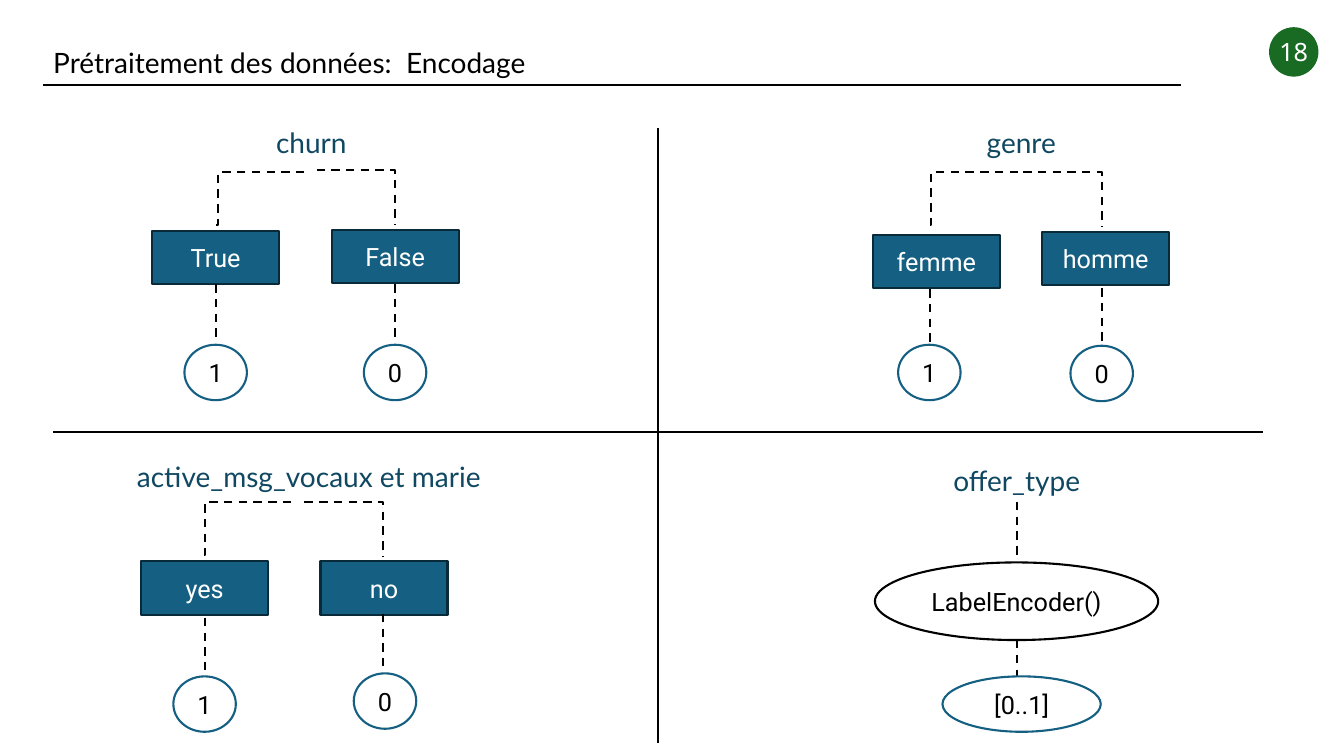
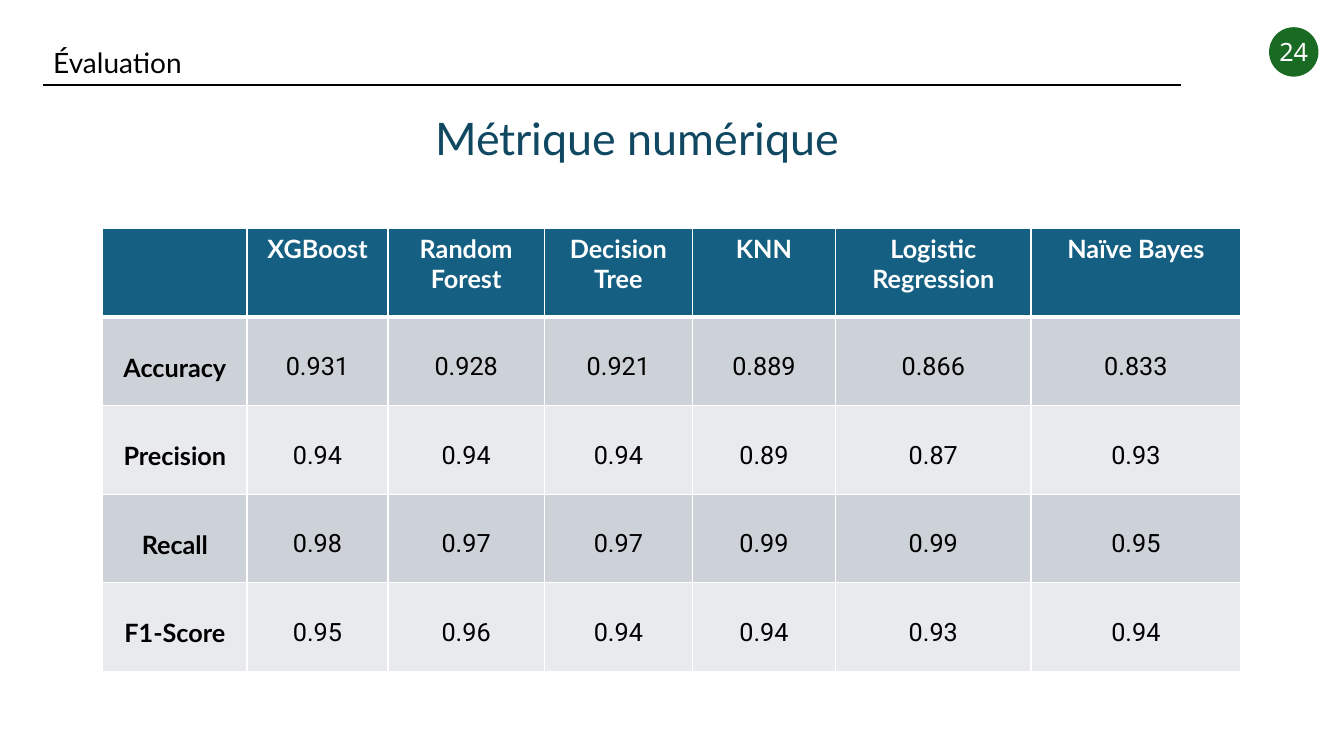
from dataclasses import dataclass
from typing import Optional

from lxml.etree import SubElement
from pptx import Presentation
from pptx.dml.color import RGBColor
from pptx.enum.dml import MSO_LINE_DASH_STYLE as Dash
from pptx.enum.shapes import MSO_CONNECTOR as Link, MSO_SHAPE as Preset
from pptx.enum.text import MSO_ANCHOR as Anchor, MSO_AUTO_SIZE as AutoSize, PP_ALIGN as Align
from pptx.oxml.ns import qn
from pptx.util import Emu, Inches, Pt

COLORS = {
    "ink": "000000",
    "paper": "FFFFFF",
    "badge": "196B24",
    "heading": "104862",
    "box": "156082",
    "box_edge": "092A39",
    "band_dark": "CCD2D8",
    "band_light": "E8EAED",
}
SLIDE_WIDTH, SLIDE_HEIGHT = Inches(13.33), Inches(7.5)
COLUMNS, ROWS = 160, 90
LINE_WIDTH = 1.5
BOX_WIDTH, BOX_HEIGHT = 15.12, 6.36
RING_WIDTH, RING_HEIGHT = 7.44, 6.6
HEADING_HEIGHT = 5.28
BEND_LEFT, BEND_RIGHT = 0.97, 1.0


@dataclass(frozen=True)
class Area:
    """A rectangle in grid columns and rows."""
    left: float
    top: float
    width: float
    height: float


@dataclass(frozen=True)
class Style:
    """The look of one run of text."""
    font: str
    size: int
    color: str
    bold: bool = False


@dataclass(frozen=True)
class Heading:
    """The name of an encoded variable."""
    text: str
    left: float
    top: float
    width: float


@dataclass(frozen=True)
class Branch:
    """One category, its code, and the lines that lead to them."""
    category: str
    code: str
    elbow_start: tuple[float, float]
    elbow_end: tuple[float, float]
    box_center: float
    box_top: float
    stem_x: float
    stem_top: float
    stem_bottom: float
    ring_center: float
    ring_top: float


TITLE = Style("Lato", 20, "ink")
NUMBER = Style("Noto Sans", 18, "paper")
VARIABLE = Style("Lato", 20, "heading")
SUBTITLE = Style("Lato", 32, "heading")
CATEGORY = Style("Roboto", 18, "paper")
CODE = Style("Roboto", 18, "ink")
COLUMN_HEAD = Style("Lato", 18, "paper", True)
ROW_HEAD = Style("Lato", 18, "ink", True)

HEADINGS = [
    Heading("churn", 31.68, 14.4, 12.12),
    Heading("active_msg_vocaux et marie", 15.12, 54.12, 45.24),
    Heading("genre", 116.28, 14.4, 12.12),
    Heading("offer_type", 112.32, 54.6, 17.76),
]
BRANCHES = [
    Branch("True", "1", (36.24, 20.52), (25.68, 26.76), 25.68, 27.48, 25.68, 33.84, 40.44, 25.68, 41.04),
    Branch("False", "0", (37.68, 20.28), (47.04, 26.76), 47.04, 27.36, 47.04, 33.84, 40.44, 47.04, 41.04),
    Branch("yes", "1", (34.68, 59.76), (24.12, 66.12), 24.36, 66.84, 24.36, 73.56, 80.16, 24.36, 80.52),
    Branch("no", "0", (36.24, 59.76), (45.6, 66.36), 45.72, 66.84, 45.6, 73.08, 79.8, 45.84, 80.16),
    Branch("femme", "1", (121.2, 20.52), (110.52, 26.76), 111.48, 27.96, 110.76, 34.44, 41.16, 110.64, 41.04),
    Branch("homme", "0", (121.8, 20.52), (131.16, 27), 131.64, 27.6, 131.16, 34.32, 41.04, 131.16, 41.16),
]
METRIC_WIDTHS = [17.16, 16.8, 18.6, 17.64, 17.04, 23.28, 24.96]
METRIC_ROW_HEIGHT = 10.54
METRICS = [
    ["", "XGBoost", "Random Forest", "Decision Tree", "KNN", "Logistic Regression", "Naïve Bayes"],
    ["Accuracy", "0.931", "0.928", "0.921", "0.889", "0.866", "0.833"],
    ["Precision", "0.94", "0.94", "0.94", "0.89", "0.87", "0.93"],
    ["Recall", "0.98", "0.97", "0.97", "0.99", "0.99", "0.95"],
    ["F1-Score", "0.95", "0.96", "0.94", "0.94", "0.93", "0.94"],
]


def across(columns: float) -> Emu:
    """Convert grid columns to a length."""
    return Emu(round(SLIDE_WIDTH * columns / COLUMNS))


def down(rows: float) -> Emu:
    """Convert grid rows to a length."""
    return Emu(round(SLIDE_HEIGHT * rows / ROWS))


def frame(area: Area) -> tuple[Emu, Emu, Emu, Emu]:
    """Convert a grid area to slide lengths."""
    return across(area.left), down(area.top), across(area.width), down(area.height)


def color(name: str) -> RGBColor:
    """Look up a named colour."""
    return RGBColor.from_string(COLORS[name])


def write(text_frame, text: str, style: Style, align: Optional[Align] = None) -> None:
    """Write one styled run in the first paragraph."""
    para = text_frame.paragraphs[0]
    para.alignment = align
    span = para.add_run()
    span.text = text
    span.font.name, span.font.size = style.font, Pt(style.size)
    span.font.bold = style.bold
    span.font.color.rgb = color(style.color)


def add_text(page, area: Area, text: str, style: Style, align: Optional[Align] = None) -> None:
    """Add a wrapping text box."""
    box = page.shapes.add_textbox(*frame(area))
    box.text_frame.word_wrap = True
    box.text_frame.auto_size = AutoSize.SHAPE_TO_FIT_TEXT
    write(box.text_frame, text, style, align)


def add_node(page, preset: Preset, area: Area, text: str, style: Style,
             fill: str, edge: Optional[str] = None, wrap: bool = True) -> None:
    """Add a filled shape with centred text."""
    node = page.shapes.add_shape(preset, *frame(area))
    node.shadow.inherit = False
    node.fill.solid()
    node.fill.fore_color.rgb = color(fill)
    if edge:
        node.line.color.rgb = color(edge)
        node.line.width = Pt(LINE_WIDTH)
    else:
        node.line.fill.background()
    node.text_frame.word_wrap = wrap
    node.text_frame.vertical_anchor = Anchor.MIDDLE
    write(node.text_frame, text, style, Align.CENTER)


def add_line(page, start: tuple[float, float], end: tuple[float, float],
             dashed: bool = False, bend: Optional[float] = None) -> None:
    """Add a straight line, or an elbow that turns at the given share."""
    kind = Link.STRAIGHT if bend is None else Link.ELBOW
    line = page.shapes.add_connector(kind, across(start[0]), down(start[1]), across(end[0]), down(end[1]))
    line.line.color.rgb = color("ink")
    line.line.width = Pt(LINE_WIDTH)
    if dashed:
        line.line.dash_style = Dash.DASH
    properties = line._element.spPr
    SubElement(properties, qn("a:effectLst"))
    if bend is not None:
        guides = properties.find(qn("a:prstGeom")).find(qn("a:avLst"))
        SubElement(guides, qn("a:gd"), name="adj1", fmla=f"val {round(bend * 100000)}")


def add_page(deck, title: str, number: str):
    """Add a blank page with its title, rule and number badge."""
    page = deck.slides.add_slide(deck.slide_layouts[6])
    add_text(page, Area(5.16, 4.8, 77.16, HEADING_HEIGHT), title, TITLE)
    add_line(page, (5.16, 10.08), (140.64, 10.08))
    add_node(page, Preset.OVAL, Area(151.08, 3.24, 5.88, 5.88), number, NUMBER, "badge", wrap=False)
    return page


def add_branch(page, branch: Branch) -> None:
    """Draw a category box and the code below it."""
    leftward = branch.elbow_end[0] < branch.elbow_start[0]
    add_line(page, branch.elbow_start, branch.elbow_end, True, BEND_LEFT if leftward else BEND_RIGHT)
    box = Area(branch.box_center - BOX_WIDTH / 2, branch.box_top, BOX_WIDTH, BOX_HEIGHT)
    add_node(page, Preset.RECTANGLE, box, branch.category, CATEGORY, "box", "box_edge")
    add_line(page, (branch.stem_x, branch.stem_top), (branch.stem_x, branch.stem_bottom), True)
    ring = Area(branch.ring_center - RING_WIDTH / 2, branch.ring_top, RING_WIDTH, RING_HEIGHT)
    add_node(page, Preset.OVAL, ring, branch.code, CODE, "paper", "box")


def add_encoding_page(deck) -> None:
    """Draw the four quadrants of encoded variables."""
    page = add_page(deck, "Prétraitement des données:  Encodage", "18")
    add_line(page, (78.36, 15.24), (78.36, 88.44))
    add_line(page, (6.36, 51.48), (150.36, 51.48))
    for heading in HEADINGS:
        area = Area(heading.left, heading.top, heading.width, HEADING_HEIGHT)
        add_text(page, area, heading.text, VARIABLE)
    for branch in BRANCHES:
        add_branch(page, branch)
    encoder_x = 121.08
    for top in (59.76, 76.2):
        add_line(page, (encoder_x, top), (encoder_x, top + 6.6), True)
    add_node(page, Preset.OVAL, Area(104.16, 66.96, 33.72, 9.24), "LabelEncoder()", CODE, "paper", "ink")
    add_node(page, Preset.OVAL, Area(112.2, 80.52, 18.84, RING_HEIGHT), "[0..1]", CODE, "paper", "box")


def add_border(cell, side: str, points: float) -> None:
    """Add a white border on one side of a cell."""
    properties = cell._tc.get_or_add_tcPr()
    border = SubElement(properties, qn(f"a:ln{side}"), w=str(Pt(points)))
    fill = SubElement(border, qn("a:solidFill"))
    SubElement(fill, qn("a:srgbClr"), val=COLORS["paper"])


def fill_cell(cell, row: int, column: int, text: str) -> None:
    """Style and fill one cell of the metric table."""
    header = row == 0
    for side in "LRTB":
        thick = (header and side == "B") or (row == 1 and side == "T")
        add_border(cell, side, 3 if thick else 1)
    cell.fill.solid()
    cell.fill.fore_color.rgb = color("box" if header else "band_dark" if row % 2 else "band_light")
    if not header:
        cell.margin_top = down(4.2)
    if text:
        style = COLUMN_HEAD if header else CODE if column else ROW_HEAD
        write(cell.text_frame, text, style, Align.CENTER)


def add_metric_page(deck) -> None:
    """Draw the table of metrics by model."""
    page = add_page(deck, "Évaluation", "24")
    add_text(page, Area(43.8, 12.6, 65.52, 7.68), "Métrique numérique ", SUBTITLE, Align.CENTER)
    area = Area(12.24, 27.24, sum(METRIC_WIDTHS), METRIC_ROW_HEIGHT * len(METRICS))
    table = page.shapes.add_table(len(METRICS), len(METRIC_WIDTHS), *frame(area)).table
    for column, width in zip(table.columns, METRIC_WIDTHS):
        column.width = across(width)
    for row, values in enumerate(METRICS):
        table.rows[row].height = down(METRIC_ROW_HEIGHT)
        for column, text in enumerate(values):
            fill_cell(table.cell(row, column), row, column, text)


def main() -> None:
    """Build and save the deck."""
    deck = Presentation()
    deck.slide_width, deck.slide_height = SLIDE_WIDTH, SLIDE_HEIGHT
    add_encoding_page(deck)
    add_metric_page(deck)
    deck.save("out.pptx")


if __name__ == "__main__":
    main()
